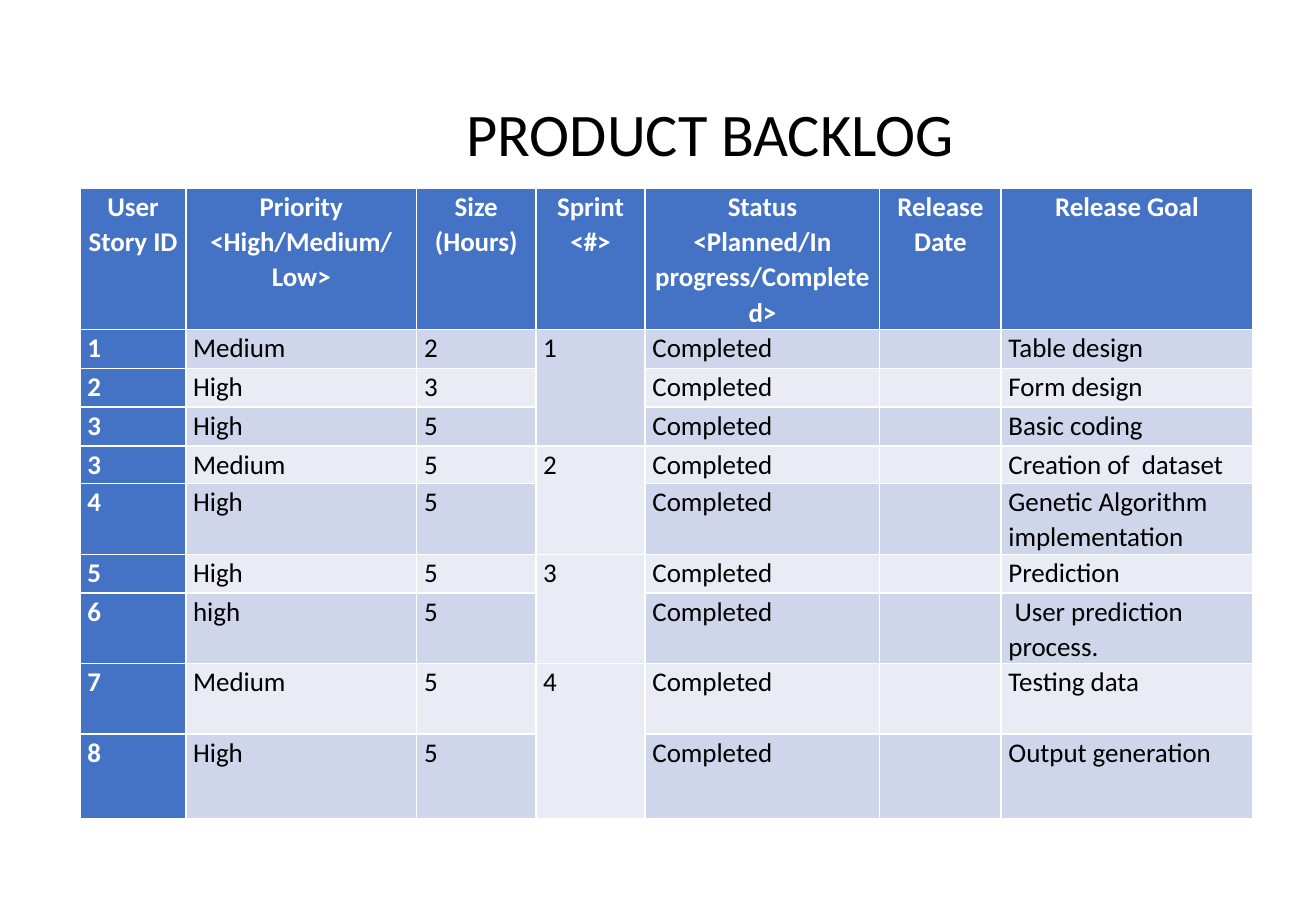
from pptx import Presentation
from pptx import util as u
from pptx.dml.color import RGBColor
from pptx.enum import text

BLUE = RGBColor(0x44, 0x72, 0xC4)
DARK = RGBColor(0xCF, 0xD5, 0xEA)
PALE = RGBColor(0xE9, 0xEB, 0xF5)
WHITE = RGBColor(0xFF, 0xFF, 0xFF)
BLACK = RGBColor(0, 0, 0)
FACE = "Calibri"

WIDTHS = [0.87, 1.9, 0.98, 0.9, 1.93, 1, 2.07]
HEIGHTS = [1.16, 0.32, 0.32, 0.32, 0.31, 0.58, 0.32, 0.58, 0.58, 0.7]
HEADS = ["User Story ID", "Priority\n<High/Medium/Low>", "Size\n(Hours)",
         "Sprint\n<#>", "Status\n<Planned/In progress/Completed>",
         "Release\nDate", "Release Goal"]
STORIES = [
    ("1", "Medium", "2", "1", "Table design"),
    ("2", "High", "3", "", "Form design"),
    ("3", "High", "5", "", "Basic coding"),
    ("3", "Medium", "5", "2", "Creation of  dataset"),
    ("4", "High", "5", "", "Genetic Algorithm implementation"),
    ("5", "High", "5", "3", "Prediction"),
    ("6", "high", "5", "", " User prediction process."),
    ("7", "Medium", "5", "4", "Testing data"),
    ("8", "High", "5", "", "Output generation"),
]
SPRINT = 3
SPANS = [(1, 3), (4, 5), (6, 7), (8, 9)]


def style(par, size, color, bold, align, space):
    par.font.name = FACE
    par.font.size = u.Pt(size)
    par.font.color.rgb = color
    par.font.bold = bold
    par.alignment = align
    par.line_spacing = space


def add_title(slide, left, top, width, height):
    title = slide.shapes.title
    title.left, title.top = u.Inches(left), u.Inches(top)
    title.width, title.height = u.Inches(width), u.Inches(height)
    frame = title.text_frame
    frame.text = "PRODUCT BACKLOG"
    frame.auto_size = text.MSO_AUTO_SIZE.NONE
    frame.vertical_anchor = text.MSO_ANCHOR.MIDDLE
    frame.margin_left = u.Inches(3.1)
    style(frame.paragraphs[0], 35.8, BLACK, False, text.PP_ALIGN.LEFT, 0.9)


def fill_cell(cell, words, row, col):
    head = row == 0
    key = head or col == 0
    cell.margin_left = cell.margin_right = u.Inches(0.06)
    cell.margin_top = cell.margin_bottom = 0
    cell.fill.solid()
    cell.fill.fore_color.rgb = BLUE if key else DARK if row % 2 else PALE
    cell.text = words
    align = text.PP_ALIGN.CENTER if head else text.PP_ALIGN.LEFT
    for par in cell.text_frame.paragraphs:
        style(par, 16, WHITE if key else BLACK, key, align, 1.07)


def add_backlog(slide, left, top):
    rows = [HEADS] + [(num, rank, size, sprint, "Completed", "", goal)
                      for num, rank, size, sprint, goal in STORIES]
    table = slide.shapes.add_table(
        len(rows), len(WIDTHS), u.Inches(left), u.Inches(top),
        u.Inches(sum(WIDTHS)), u.Inches(sum(HEIGHTS))).table
    table.first_col = True
    for col, width in zip(table.columns, WIDTHS):
        col.width = u.Inches(width)
    for row, height in zip(table.rows, HEIGHTS):
        row.height = u.Inches(height)
    for r, row in enumerate(rows):
        for c, words in enumerate(row):
            fill_cell(table.cell(r, c), words, r, c)
    for first, last in SPANS:
        table.cell(first, SPRINT).merge(table.cell(last, SPRINT))


def main():
    deck = Presentation()
    deck.slide_width, deck.slide_height = u.Inches(10.83), u.Inches(7.5)
    slide = deck.slides.add_slide(deck.slide_layouts[5])
    add_title(slide, 0.74, 0.4, 9.34, 1.45)
    add_backlog(slide, 0.66, 1.55)
    deck.save("out.pptx")


if __name__ == "__main__":
    main()
